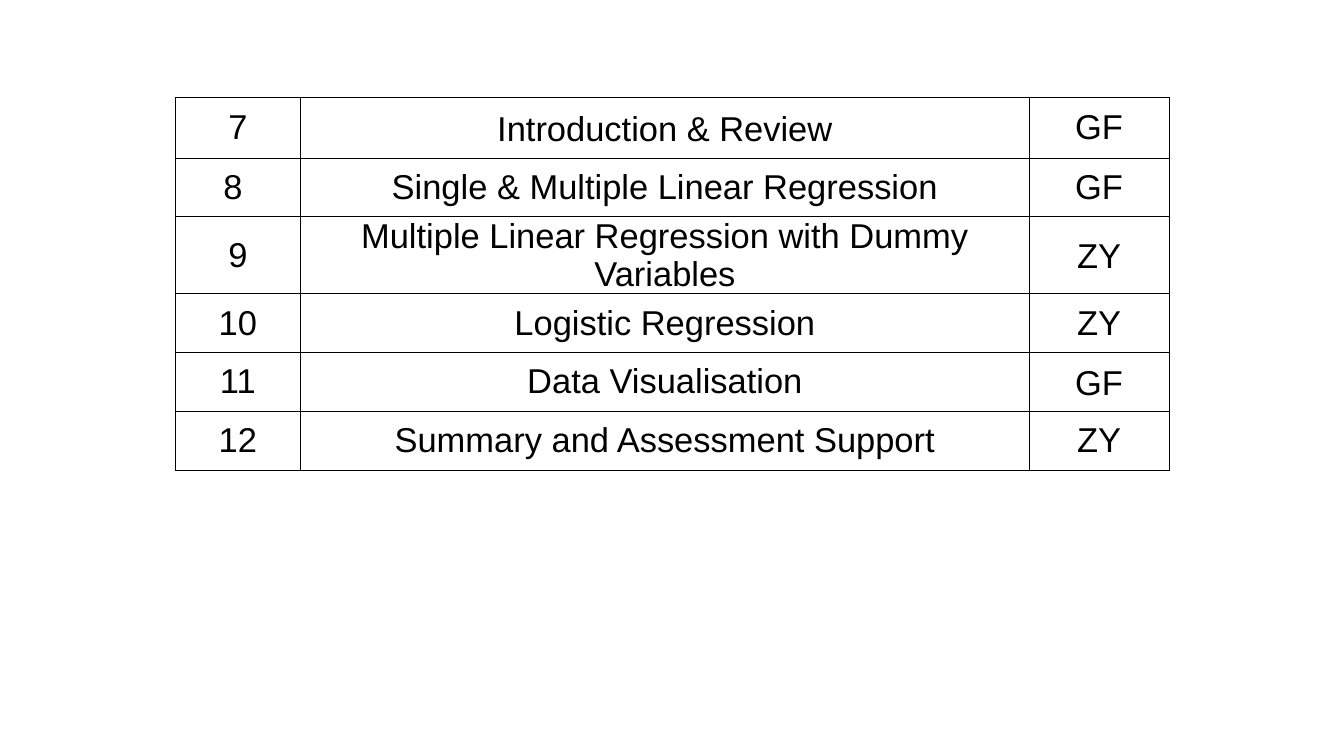
from dataclasses import dataclass

from lxml import etree
from pptx import Presentation
from pptx import util as u
from pptx.dml.color import RGBColor
from pptx.enum import text
from pptx.oxml.ns import qn

COLORS = {"ink": "000000"}
SLIDE_W, SLIDE_H = u.Inches(18.96), u.Inches(10.67)
# Percentages of the slide's width and height
LEFT, TOP = 13.03, 12.93
COLUMNS = (9.34, 54.22, 10.39)
FIRST_ROW, OTHER_ROW = 7.97, 7.78
LOOSE = 1.07


@dataclass
class Session:
    week: str
    topic: str
    lecturer: str
    loose_column: int | None = None  # column with wider line spacing


SESSIONS = [
    Session("7", "Introduction & Review", "GF", 1),
    Session("8 ", "Single & Multiple Linear Regression", "GF"),
    Session("9", "Multiple Linear Regression with Dummy Variables", "ZY", 2),
    Session("10", "Logistic Regression", "ZY"),
    Session("11", "Data Visualisation", "GF", 2),
    Session("12", "Summary and Assessment Support", "ZY"),
]


def across(percent: float) -> int:
    return round(SLIDE_W * percent / 100)


def down(percent: float) -> int:
    return round(SLIDE_H * percent / 100)


def add_borders(cell) -> None:
    tc_pr = cell._tc.get_or_add_tcPr()
    for side in ("a:lnL", "a:lnR", "a:lnT", "a:lnB"):
        ln = etree.SubElement(tc_pr, qn(side), w=str(u.Pt(1)))
        fill = etree.SubElement(ln, qn("a:solidFill"))
        etree.SubElement(fill, qn("a:srgbClr"), val=COLORS["ink"])


def fill_cell(cell, words: str, loose: bool) -> None:
    add_borders(cell)
    cell.fill.background()
    cell.vertical_anchor = text.MSO_ANCHOR.MIDDLE
    cell.margin_left = cell.margin_right = u.Inches(0.07)
    cell.margin_top = cell.margin_bottom = 0
    p = cell.text_frame.paragraphs[0]
    p.text = words
    p.alignment = text.PP_ALIGN.CENTER
    p.space_after = u.Pt(6)
    if loose:
        p.line_spacing = LOOSE
    font = p.runs[0].font
    font.name, font.size, font.bold = "Arial", u.Pt(35), False
    font.color.rgb = RGBColor.from_string(COLORS["ink"])


def add_schedule(s, sessions: list[Session]) -> None:
    heights = [FIRST_ROW] + [OTHER_ROW] * (len(sessions) - 1)
    table = s.shapes.add_table(
        len(sessions), len(COLUMNS), across(LEFT), down(TOP),
        across(sum(COLUMNS)), down(sum(heights))).table
    table.first_row = table.horz_banding = False
    for column, width in zip(table.columns, COLUMNS):
        column.width = across(width)
    for row, height, session in zip(table.rows, heights, sessions):
        row.height = down(height)
        entries = (session.week, session.topic, session.lecturer)
        for i, (cell, words) in enumerate(zip(row.cells, entries)):
            fill_cell(cell, words, i == session.loose_column)


def main() -> None:
    prs = Presentation()
    prs.slide_width, prs.slide_height = SLIDE_W, SLIDE_H
    s = prs.slides.add_slide(prs.slide_layouts[6])
    add_schedule(s, SESSIONS)
    prs.save("out.pptx")


if __name__ == "__main__":
    main()
